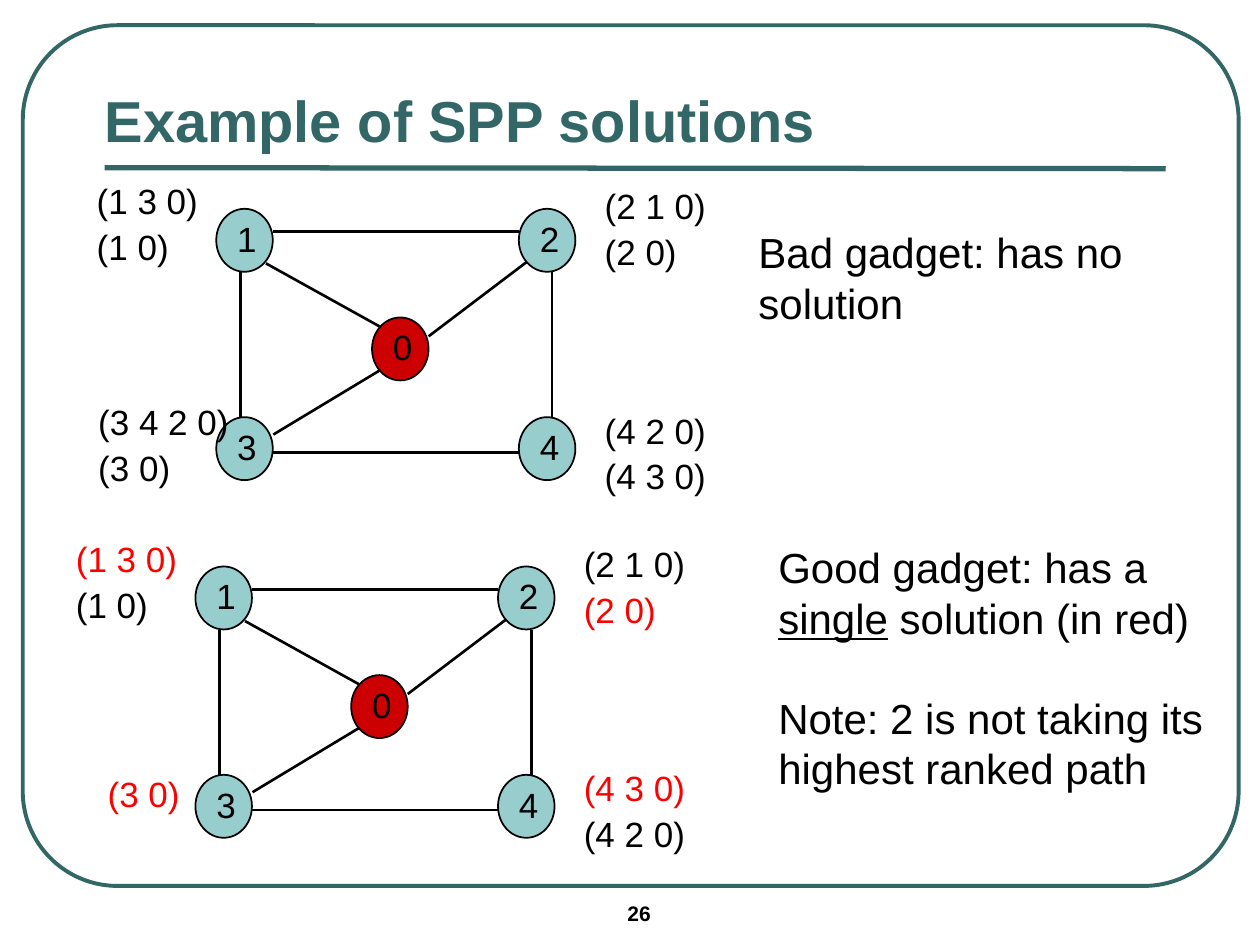
from dataclasses import dataclass

from lxml.etree import SubElement
from pptx import Presentation
from pptx.dml.color import RGBColor as Rgb
from pptx.enum.shapes import MSO_CONNECTOR as Link, MSO_SHAPE as Form
from pptx.enum.text import MSO_ANCHOR as Anchor, PP_ALIGN as Align
from pptx.oxml.ns import qn
from pptx.util import Cm, Pt


@dataclass(frozen=True)
class Theme:
    font: str = "Arial"
    teal: str = "336666"
    node: str = "97CDCC"
    root: str = "CC0000"
    ink: str = "000000"
    red: str = "FF0000"
    title: int = 33
    body: int = 24
    label: int = 20
    page: int = 12


LOOK = Theme()
NODES = {
    "1": (4.36, 4.21),
    "0": (7.5, 6.4),
    "4": (10.46, 8.41),
    "3": (4.36, 8.41),
    "2": (10.46, 4.21),
}
EDGES = [
    (5.51, 9.12, 10.46, 9.12),
    (4.85, 8.41, 4.85, 5.49),
    (11.13, 8.41, 11.13, 5.49),
    (5.51, 4.67, 10.46, 4.67),
    (5.51, 8.76, 7.65, 7.47),
    (8.64, 6.78, 10.62, 5.28),
    (5.36, 5.31, 7.65, 6.58),
]
BAD = [
    (1.7, 3.58, 2.54, ["(1 3 0)", "(1 0)"], ""),
    (1.73, 8.03, 3.15, ["(3 4 2 0)", "(3 0)"], ""),
    (11.94, 8.2, 2.54, ["(4 2 0)", "(4 3 0)"], ""),
    (11.94, 3.68, 2.54, ["(2 1 0)", "(2 0)"], ""),
]
GOOD = [
    (1.7, 3.58, 2.54, ["(1 3 0)", "(1 0)"], "(1 3 0)"),
    (2.34, 8.23, 1.96, ["(3 0)"], "(3 0)"),
    (11.94, 8.2, 2.54, ["(4 3 0)", "(4 2 0)"], "(4 3 0)"),
    (11.94, 3.68, 2.54, ["(2 1 0)", "(2 0)"], "(2 0)"),
]


def add_run(para, text, size, color=LOOK.ink, bold=False, under=False):
    run = para.add_run()
    run.text = text
    font = run.font
    font.name, font.size = LOOK.font, Pt(size)
    font.bold, font.underline = bold, under
    font.color.rgb = Rgb.from_string(color)


def add_box(shapes, x, y, w, h, wrap=True):
    box = shapes.add_textbox(Cm(x), Cm(y), Cm(w), Cm(h))
    box.text_frame.word_wrap = wrap
    return box.text_frame


def add_line(shapes, x1, y1, x2, y2, color, width):
    line = shapes.add_connector(Link.STRAIGHT, Cm(x1), Cm(y1), Cm(x2), Cm(y2))
    line.line.color.rgb = Rgb.from_string(color)
    line.line.width = Pt(width)
    SubElement(line._element.spPr, qn("a:effectLst"))


def add_form(shapes, kind, x, y, w, h, color, width, fill=None):
    form = shapes.add_shape(kind, Cm(x), Cm(y), Cm(w), Cm(h))
    form.shadow.inherit = False
    if fill:
        form.fill.solid()
        form.fill.fore_color.rgb = Rgb.from_string(fill)
    else:
        form.fill.background()
    form.line.color.rgb = Rgb.from_string(color)
    form.line.width = Pt(width)
    return form


def add_node(shapes, name, x, y):
    fill = LOOK.root if name == "0" else LOOK.node
    node = add_form(shapes, Form.OVAL, x, y, 1.14, 1.27, LOOK.ink, 1, fill)
    frame = node.text_frame
    frame.word_wrap = False
    frame.vertical_anchor = Anchor.MIDDLE
    frame.margin_left = Cm(0.1)
    frame.margin_right = frame.margin_top = 0
    frame.margin_bottom = Cm(0.08)
    para = frame.paragraphs[0]
    para.alignment = Align.CENTER
    add_run(para, name, LOOK.label)


def add_label(shapes, x, y, w, lines, pick):
    frame = add_box(shapes, x, y, w, 1.9 if len(lines) > 1 else 1.12)
    frame.margin_right = 0
    for i, text in enumerate(lines):
        last = i == len(lines) - 1
        para = frame.add_paragraph() if i else frame.paragraphs[0]
        para.line_spacing = 1.0 if last else 0.93
        if i:
            para.space_before = Pt(1.5)
        add_run(para, text, LOOK.label, LOOK.red if text == pick else LOOK.ink)


def add_graph(slide, labels, dx=0, dy=0):
    shapes = slide.shapes.add_group_shape().shapes
    for name, (x, y) in NODES.items():
        add_node(shapes, name, x + dx, y + dy)
    for x1, y1, x2, y2 in EDGES:
        add_line(shapes, x1 + dx, y1 + dy, x2 + dx, y2 + dy, LOOK.ink, 1.5)
    for x, y, w, lines, pick in labels:
        add_label(shapes, x + dx, y + dy, w, lines, pick)


def add_note(slide, x, y, w, h, paras):
    frame = add_box(slide.shapes, x, y, w, h)
    for i, runs in enumerate(paras):
        para = frame.add_paragraph() if i else frame.paragraphs[0]
        para.line_spacing = 1.0
        if i:
            para.space_before = Pt(28.5)
        for text, under in runs:
            add_run(para, text, LOOK.body, under=under)


def add_frame(slide):
    shapes = slide.shapes
    page = add_box(shapes, 12.4, 18.03, 2.97, 0.74)
    add_run(page.paragraphs[0], "26", LOOK.page, bold=True)
    edge = add_form(shapes, Form.ROUNDED_RECTANGLE, 0.46, 0.51, 24.51, 17.35,
                    LOOK.teal, 2.25)
    edge.adjustments[0] = 0.11
    add_line(shapes, 2.11, 3.38, 23.5, 3.4, LOOK.teal, 3)
    title = add_box(shapes, 2.11, 1.47, 21.36, 1.88)
    title.vertical_anchor = Anchor.MIDDLE
    title.margin_left = title.margin_right = 0
    title.margin_top = title.margin_bottom = 0
    add_run(title.paragraphs[0], "Example of SPP solutions", LOOK.title,
            LOOK.teal, bold=True)


def main():
    deck = Presentation()
    deck.slide_width, deck.slide_height = Cm(25.4), Cm(19.05)
    slide = deck.slides.add_slide(deck.slide_layouts[6])
    add_frame(slide)
    add_graph(slide, BAD)
    add_graph(slide, GOOD, -0.42, 7.21)
    add_note(slide, 15.04, 4.45, 9.73, 2.29,
             [[("Bad gadget: has no solution", False)]])
    add_note(slide, 15.44, 10.8, 9.96, 5.33, [
        [("Good gadget: has a ", False), ("single", True),
         (" solution (in red)", False)],
        [("Note: 2 is not taking its highest ranked path", False)],
    ])
    deck.save("out.pptx")


if __name__ == "__main__":
    main()
